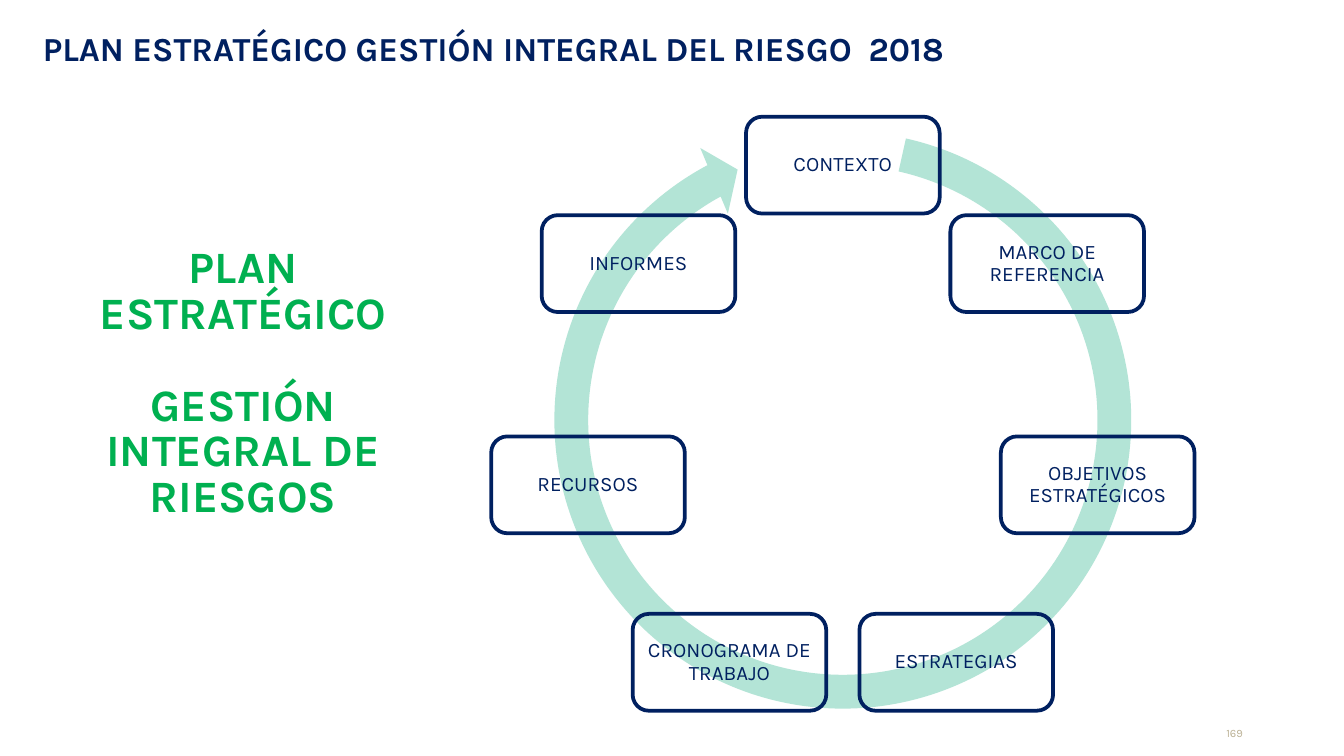
import math
from dataclasses import dataclass

import pptx
import pptx.dml.color
import pptx.enum.shapes
import pptx.enum.text
import pptx.util
from pptx.util import Cm

RGB = pptx.dml.color.RGBColor.from_string
SHAPE = pptx.enum.shapes.MSO_SHAPE
ALIGN = pptx.enum.text.PP_ALIGN
ANCHOR = pptx.enum.text.MSO_ANCHOR


@dataclass(frozen=True)
class Theme:
    font: str = "Karla"
    navy: str = "002060"
    green: str = "00B050"
    mint: str = "B3E4D6"
    sand: str = "BCB296"
    title_size: float = 18
    heading_size: float = 24
    step_size: float = 11
    number_size: float = 6


theme = Theme()


def write(shape, lines, size, color, bold=False, align=ALIGN.LEFT,
          anchor=ANCHOR.TOP, inset=None, line_spacing=None):
    """Fill a shape with one paragraph per line; inset is in cm."""
    frame = shape.text_frame
    frame.text = "\n".join(lines)
    frame.word_wrap = True
    frame.vertical_anchor = anchor
    if inset is not None:
        frame.margin_left = frame.margin_right = Cm(inset)
        frame.margin_top = frame.margin_bottom = Cm(inset)
    for para in frame.paragraphs:
        para.alignment = align
        para.line_spacing = line_spacing
        for span in para.runs:
            span.font.name = theme.font
            span.font.size = pptx.util.Pt(size)
            span.font.bold = bold
            span.font.color.rgb = RGB(color)


deck = pptx.Presentation()
deck.slide_width, deck.slide_height = Cm(25.4), Cm(14.28)
page = deck.slides.add_slide(deck.slide_layouts[6])

# Page number and title
number = page.shapes.add_textbox(Cm(22.68), Cm(13.72), Cm(0.81), Cm(0.25))
write(number, ["169"], theme.number_size, theme.sand, align=ALIGN.RIGHT,
      anchor=ANCHOR.BOTTOM, inset=0)

title = page.shapes.add_textbox(Cm(0.56), Cm(0.41), Cm(19.41), Cm(0.71))
write(title, ["PLAN ESTRATÉGICO GESTIÓN INTEGRAL DEL RIESGO  2018"],
      theme.title_size, theme.navy, bold=True)

# Ring arrow behind the steps
center_x, center_y, radius = 15.93, 8.06, 4.94
ring_size = 11.61
ring = page.shapes.add_shape(
    SHAPE.CIRCULAR_ARROW, Cm(center_x - ring_size / 2), Cm(2.13),
    Cm(ring_size), Cm(ring_size))
for index, value in enumerate([0.055, 3.307, 145.013, 169.585, 0.058]):
    ring.adjustments[index] = value
ring.shadow.inherit = False
ring.fill.solid()
ring.fill.fore_color.rgb = RGB(theme.mint)
ring.line.fill.background()

# Steps, evenly spaced clockwise from the top
steps = ["CONTEXTO", "MARCO DE REFERENCIA", "OBJETIVOS ESTRATÉGICOS",
         "ESTRATEGIAS", "CRONOGRAMA DE TRABAJO", "RECURSOS", "INFORMES"]
step_width, step_height = 3.66, 1.83
for index, step in enumerate(steps):
    angle = 2 * math.pi * index / len(steps)
    left = center_x + radius * math.sin(angle) - step_width / 2
    top = center_y - radius * math.cos(angle) - step_height / 2
    box = page.shapes.add_shape(SHAPE.ROUNDED_RECTANGLE, Cm(left), Cm(top),
                                Cm(step_width), Cm(step_height))
    box.shadow.inherit = False
    box.fill.background()
    box.line.color.rgb = RGB(theme.navy)
    box.line.width = pptx.util.Pt(2)
    write(box, [step], theme.step_size, theme.navy, align=ALIGN.CENTER,
          anchor=ANCHOR.MIDDLE, inset=0.13, line_spacing=0.9)

# Heading on the left
heading = page.shapes.add_textbox(Cm(1.52), Cm(1.83), Cm(6.15), Cm(10.87))
write(heading, ["PLAN ESTRATÉGICO", "GESTIÓN INTEGRAL DE RIESGOS"],
      theme.heading_size, theme.green, bold=True, align=ALIGN.CENTER,
      anchor=ANCHOR.MIDDLE, inset=0, line_spacing=0.85)
heading.text_frame.paragraphs[1].space_before = pptx.util.Pt(24.5)

deck.save("out.pptx")
